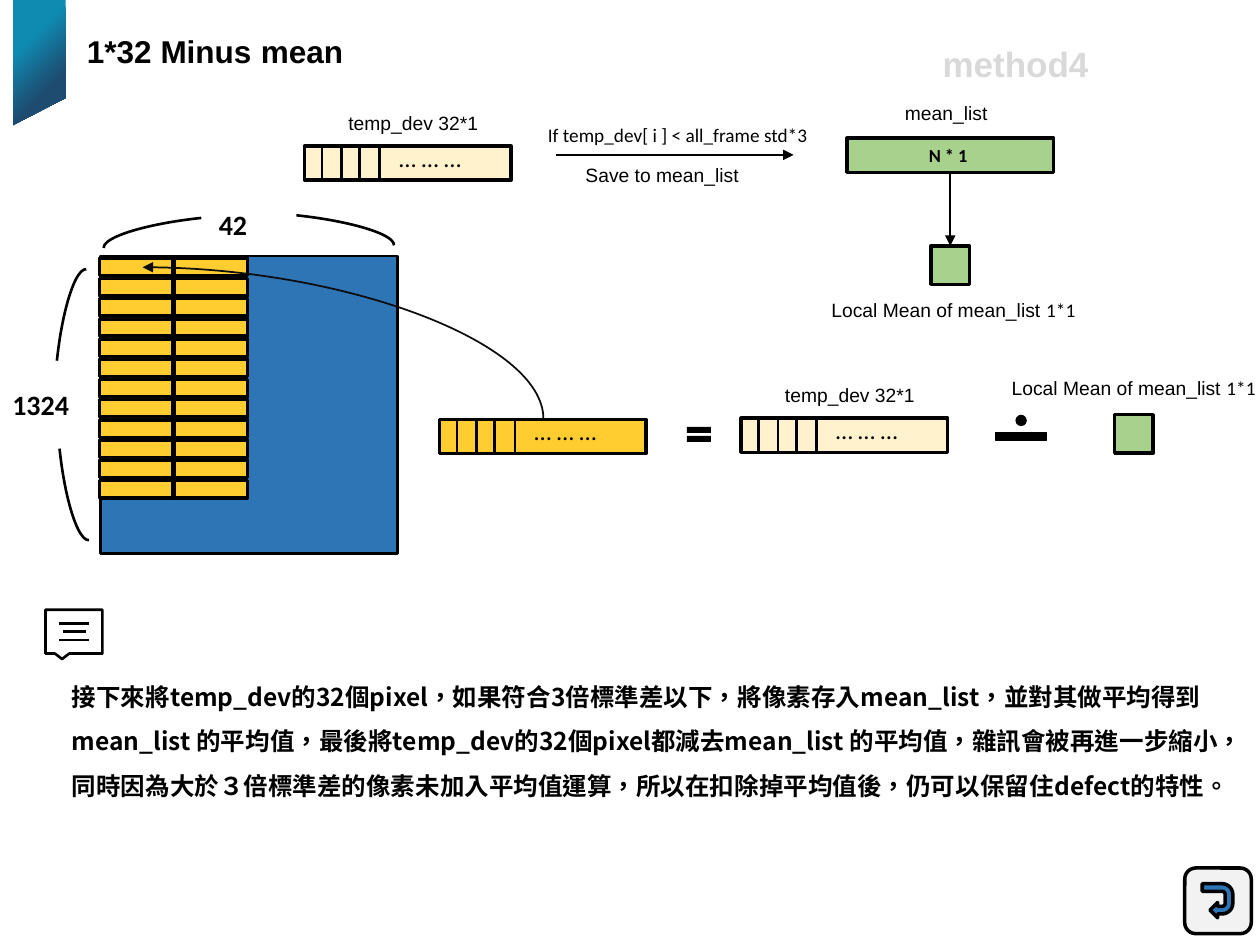
from dataclasses import dataclass
from typing import Optional

from lxml import etree
from pptx import Presentation
from pptx import util as u
from pptx.dml import color
from pptx.enum import lang, shapes, text
from pptx.oxml import ns

Kind = shapes.MSO_SHAPE
Link = shapes.MSO_CONNECTOR
Pt = u.Pt
BLACK, BLUE, GOLD, CREAM, GREEN = "000000", "2E75B6", "FFCD2F", "FFF2CC", "A9D18E"


@dataclass
class Box:
    x: float
    y: float
    w: float
    h: float

    def args(self):
        return [Pt(n) for n in (self.x, self.y, self.w, self.h)]


@dataclass
class Strip:
    x: float
    y: float
    fill: str
    label: str = ""


@dataclass
class Label:
    box: Box
    words: str
    size: float = 11
    font: str = "Arial"
    bold: bool = False
    tint: str = BLACK
    extra: str = ""


@dataclass
class Arc:
    box: Box
    turn: float
    flip: bool = False


def rgb(code: str) -> color.RGBColor:
    return color.RGBColor.from_string(code)


def write(frame, words: str, size: float = 11, font: str = "Arial", tint: str = BLACK,
          bold: bool = False, align=text.PP_ALIGN.LEFT, space: Optional[float] = None,
          tongue=lang.MSO_LANGUAGE_ID.ENGLISH_US):
    para = frame.paragraphs[0]
    para.alignment = align
    if space:
        para.line_spacing = space
    run = para.add_run()
    run.text = words
    run.font.size, run.font.name, run.font.bold = Pt(size), font, bold
    run.font.language_id = tongue
    run.font.color.rgb = rgb(tint)
    east = etree.SubElement(run.font._element, ns.qn("a:ea"))
    east.set("typeface", font)


def style(item, fill: Optional[str], width: float):
    item.shadow.inherit = False
    if fill:
        item.fill.solid()
        item.fill.fore_color.rgb = rgb(fill)
    else:
        item.fill.background()
    if width:
        item.line.width = Pt(width)
        item.line.color.rgb = rgb(BLACK)
    else:
        item.line.fill.background()


def shape(slide, kind, box: Box, fill: Optional[str] = None, width: float = 2, turn: float = 0):
    item = slide.shapes.add_shape(kind, *box.args())
    style(item, fill, width)
    item.rotation = turn
    return item


def line(slide, x1: float, y1: float, x2: float, y2: float, width: float = 1.5,
         head: bool = False, kind=Link.STRAIGHT, tint: str = BLACK):
    item = slide.shapes.add_connector(kind, Pt(x1), Pt(y1), Pt(x2), Pt(y2))
    item.line.width = Pt(width)
    item.line.color.rgb = rgb(tint)
    props = item._element.spPr
    if head:
        end = etree.SubElement(props.find(ns.qn("a:ln")), ns.qn("a:tailEnd"))
        end.set("type", "triangle")
    etree.SubElement(props, ns.qn("a:effectLst"))
    return item


def label(slide, spec: Label):
    frame = slide.shapes.add_textbox(*spec.box.args()).text_frame
    frame.word_wrap = False
    frame.auto_size = text.MSO_AUTO_SIZE.SHAPE_TO_FIT_TEXT
    write(frame, spec.words, spec.size, spec.font, spec.tint, spec.bold)
    if spec.extra:
        write(frame, spec.extra, spec.size, "Calibri", spec.tint)


def strip(slide, row: Strip):
    shape(slide, Kind.RECTANGLE, Box(row.x, row.y, 118, 19.5), row.fill)
    for gap in (10, 21, 31.5, 43):
        line(slide, row.x + gap, row.y, row.x + gap, row.y + 19)
    label(slide, Label(Box(row.x + 47, row.y - 5.5, 65, 24.5), "… … …", 14, "Calibri"))
    if row.label:
        label(slide, Label(Box(row.x + 18, row.y - 23.75, 89, 21), row.label))


def arc(slide, part: Arc):
    item = shape(slide, Kind.ARC, part.box, None, 1.5, part.turn)
    if part.flip:
        item._element.spPr.find(ns.qn("a:xfrm")).set("flipH", "1")


def ribbon(slide):
    pen = slide.shapes.build_freeform(Pt(7.5), Pt(0), 1.0)
    pen.add_line_segments([(Pt(x), Pt(y)) for x, y in ((37.5, 0), (37.5, 56), (7.5, 71.5))])
    item = pen.convert_to_shape()
    style(item, None, 0)
    item.fill.gradient()
    item.fill.gradient_angle = 315
    for stop, spot, code in zip(item.fill.gradient_stops, (0.32, 0.7), ("0F8AB1", "1E4B70")):
        stop.position = spot
        stop.color.rgb = rgb(code)


def title(slide):
    item = slide.shapes.title
    item.left, item.top, item.width, item.height = Box(42.5, 0, 163.5, 45.5).args()
    frame = item.text_frame
    frame.word_wrap = False
    frame.auto_size = text.MSO_AUTO_SIZE.NONE
    frame.vertical_anchor = text.MSO_ANCHOR.TOP
    for words, size, font in (("1*32 Minus", 18, "Arial"), (" ", 24, "Calibri"),
                              ("mean", 18, "Arial")):
        write(frame, words, size, font, bold=True, space=1.3)


def grid(slide):
    shape(slide, Kind.RECTANGLE, Box(57.6, 146.25, 169.5, 170), BLUE, 1.5)
    for part in (Arc(Box(59, 124.5, 114.5, 22.5), 354, True),
                 Arc(Box(111, 123, 114.5, 22.5), 6),
                 Arc(Box(-8.5, 244, 107.5, 22.5), 264, True),
                 Arc(Box(-10, 196, 107.5, 22.5), 276)):
        arc(slide, part)
    for x in (57, 99.5):
        for row in range(12):
            shape(slide, Kind.RECTANGLE, Box(x, 147.5 + 11.55 * row, 42, 10), GOLD)


def means(slide):
    bar = shape(slide, Kind.RECTANGLE, Box(484, 79, 118, 19.5), GREEN)
    bar.text_frame.vertical_anchor = text.MSO_ANCHOR.MIDDLE
    write(bar.text_frame, "N * 1 ", 10.5, "Calibri", bold=True, align=text.PP_ALIGN.CENTER)
    cell = shape(slide, Kind.RECTANGLE, Box(532, 140.5, 22, 22), GREEN)
    down = line(slide, 543, 98.5, 543, 140.5, 1, True)
    down.begin_connect(bar, 2)
    down.end_connect(cell, 0)
    line(slide, 318, 88.5, 453.5, 88.5, 1, True)


def maths(slide):
    shape(slide, Kind.RECTANGLE, Box(637, 237, 22, 22), GREEN)
    shape(slide, Kind.MATH_MINUS, Box(563.75, 240.5, 39.5, 17.5), BLACK, 0.25)
    shape(slide, Kind.OVAL, Box(580.25, 237, 6.5, 6.5), BLACK, 0)
    shape(slide, Kind.MATH_EQUAL, Box(390, 241, 18.75, 14.5), BLACK, 0)


def curve(slide):
    item = line(slide, 152.75, 310.5, 239.25, 81.5, 1, True, Link.CURVE, "0D0D0D")
    props = item._element.spPr
    props.find(ns.qn("a:xfrm")).set("rot", str(270 * 60000))
    props.find(ns.qn("a:prstGeom")).set("prst", "curvedConnector2")


def icons(slide):
    shape(slide, Kind.RECTANGULAR_CALLOUT, Box(26, 348.5, 32.5, 25), None, 1.5)
    for x, y, end in ((34, 356.25, 51), (36, 361, 49), (34, 365.75, 51)):
        line(slide, x, y, end, y)
    shape(slide, Kind.ROUNDED_RECTANGLE, Box(677, 496, 38, 37.5), "F2F2F2")
    back = shape(slide, Kind.U_TURN_ARROW, Box(686, 506, 19.5, 17.5), BLUE, 2, 90)
    back.adjustments[3] = 0.352


def body(slide):
    frame = slide.shapes.add_textbox(*Box(34, 378, 671, 83.5).args()).text_frame
    frame.word_wrap = True
    write(frame, "接下來將temp_dev的32個pixel，如果符合3倍標準差以下，將像素存入mean_list，"
          "並對其做平均得到mean_list 的平均值，最後將temp_dev的32個pixel都減去mean_list 的平均值，"
          "雜訊會被再進一步縮小，同時因為大於３倍標準差的像素未加入平均值運算，"
          "所以在扣除掉平均值後，仍可以保留住defect的特性。",
          14, "Noto Sans CJK SC", bold=True, space=1.5,
          tongue=lang.MSO_LANGUAGE_ID.TRADITIONAL_CHINESE)


LABELS = [
    Label(Box(306, 67, 168.5, 21), "If temp_dev[ i ] < all_frame std*3", font="Calibri"),
    Label(Box(510, 54.5, 61.5, 21), "mean_list"),
    Label(Box(327.5, 89.5, 103, 21), "Save to mean_list"),
    Label(Box(468, 167, 155, 21), "Local Mean of mean_list ", extra="1*1"),
    Label(Box(571, 211.5, 155, 21), "Local Mean of mean_list ", extra="1*1"),
    Label(Box(118, 115, 31, 26.5), "42", 16, "Calibri", True),
    Label(Box(0, 218, 47, 26.5), "1324", 16, "Calibri", True),
    Label(Box(531.5, 21, 98.5, 31.5), "method4", 20, "Arial", True, "D9D9D9"),
]
STRIPS = [
    Strip(174, 83.5, CREAM, "temp_dev 32*1"),
    Strip(423.5, 239, CREAM, "temp_dev 32*1"),
    Strip(251.25, 239.75, GOLD),
]


def main():
    deck = Presentation()
    deck.slide_width, deck.slide_height = Pt(720), Pt(540)
    slide = deck.slides.add_slide(deck.slide_layouts[5])
    ribbon(slide)
    title(slide)
    for row in STRIPS:
        strip(slide, row)
    for draw in (means, maths, grid, curve, icons, body):
        draw(slide)
    for item in LABELS:
        label(slide, item)
    deck.save("out.pptx")


if __name__ == "__main__":
    main()
